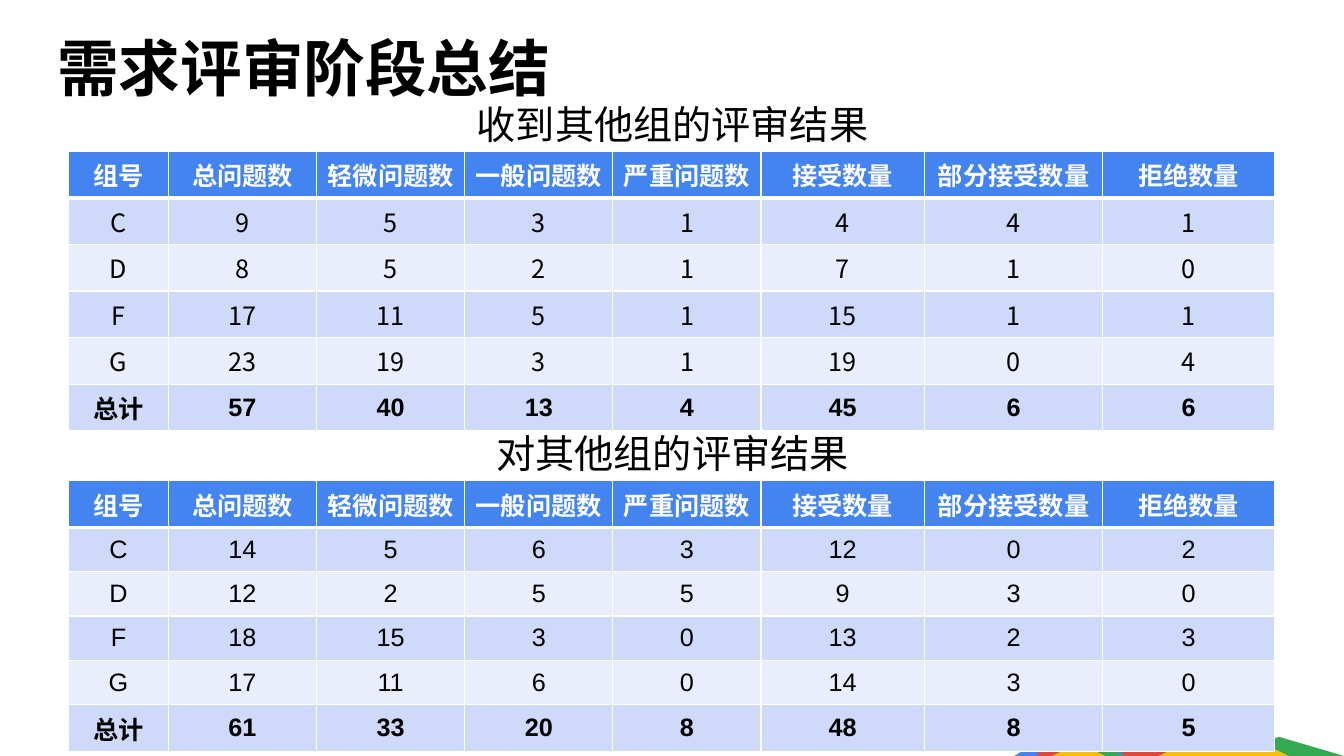
"""Build the review summary slide with two result tables."""
import dataclasses
import typing

import lxml.etree
import pptx
import pptx.dml.color
import pptx.enum.shapes
import pptx.enum.text
import pptx.oxml.ns
import pptx.util

ALIGN = pptx.enum.text.PP_ALIGN
ANCHOR = pptx.enum.text.MSO_ANCHOR
COLUMNS, ROWS = 1333, 750
UNIT = pptx.util.Inches(0.01)


@dataclasses.dataclass(frozen=True)
class Theme:
    font: str = "Arial"
    cjk_font: str = "Noto Sans CJK SC"
    title_size: int = 44
    caption_size: int = 28
    cell_size: int = 18
    black: str = "000000"
    white: str = "FFFFFF"
    blue: str = "4384F1"
    red: str = "E94236"
    green: str = "33A952"
    yellow: str = "FBBD06"
    dark_band: str = "CFD9FA"
    light_band: str = "E9EDFC"
    rule: int = 1
    header_rule: int = 3


THEME = Theme()


class Peak(typing.NamedTuple):
    left: int
    height: int
    color: str


class Range(typing.NamedTuple):
    left: int
    scale: float


class Label(typing.NamedTuple):
    text: str
    left: int
    top: int
    width: int
    height: int
    size: int
    title: bool = False


class Results(typing.NamedTuple):
    top: int
    body_font: str
    rows: tuple[str, ...]


PEAK_WIDTH = 129
PEAKS = (
    Peak(0, 39, THEME.blue),
    Peak(52, 66, THEME.red),
    Peak(146, 19, THEME.green),
    Peak(91, 32, THEME.yellow),
)
RANGES = (Range(1058, 1), Range(1006, 0.41))
LABELS = (
    Label("收到其他组的评审结果", 458, 100, 418, 58, THEME.caption_size),
    Label("对其他组的评审结果", 458, 426, 418, 58, THEME.caption_size),
    Label("需求评审阶段总结", 47, 24, 1108, 84, THEME.title_size, True),
)
TABLE_LEFT, ROW_HEIGHT = 68, 44
TABLE_COLUMNS = (99, 147, 147, 147, 147, 162, 177, 170)
HEADER = "组号 总问题数 轻微问题数 一般问题数 严重问题数 接受数量 部分接受数量 拒绝数量"
TABLES = (
    Results(150, THEME.cjk_font, (
        "C 9 5 3 1 4 4 1",
        "D 8 5 2 1 7 1 0",
        "F 17 11 5 1 15 1 1",
        "G 23 19 3 1 19 0 4",
        "总计 57 40 13 4 45 6 6",
    )),
    Results(477, THEME.font, (
        "C 14 5 6 3 12 0 2",
        "D 12 2 5 5 9 3 0",
        "F 18 15 3 0 13 2 3",
        "G 17 11 6 0 14 3 0",
        "总计 61 33 20 8 48 8 5",
    )),
)


def rgb(color: str) -> pptx.dml.color.RGBColor:
    """Turn a hex string into a colour."""
    return pptx.dml.color.RGBColor.from_string(color)


def grid(*cells: float) -> list[int]:
    """Turn grid columns or rows into lengths."""
    return [round(cell * UNIT) for cell in cells]


def style(p, font: str, size: int, color: str, bold: bool) -> None:
    """Set the font of a whole paragraph."""
    p.font.name = font
    p.font.size = pptx.util.Pt(size)
    p.font.color.rgb = rgb(color)
    p.font.bold = bold


def add_range(s, mountains: Range) -> None:
    """Draw a row of triangles standing on the slide's lower edge."""
    for peak in PEAKS:
        left = mountains.left + peak.left * mountains.scale
        height = peak.height * mountains.scale
        sp = s.shapes.add_shape(
            pptx.enum.shapes.MSO_SHAPE.ISOSCELES_TRIANGLE,
            *grid(left, ROWS - height, PEAK_WIDTH * mountains.scale, height))
        sp.shadow.inherit = False
        sp.fill.solid()
        sp.fill.fore_color.rgb = rgb(peak.color)
        sp.line.fill.background()


def add_label(s, label: Label) -> None:
    """Write the title or the caption of a table."""
    sp = s.shapes.add_textbox(
        *grid(label.left, label.top, label.width, label.height))
    tf = sp.text_frame
    tf.word_wrap = True
    p = tf.paragraphs[0]
    p.text = label.text
    style(p, THEME.font, label.size, THEME.black, label.title)
    if label.title:
        tf.vertical_anchor = ANCHOR.MIDDLE
    else:
        p.alignment = ALIGN.CENTER
        p.line_spacing = 0.9
        p.space_before = pptx.util.Pt(10)


def add_borders(cell, top: int, bottom: int) -> None:
    """Rule all four sides of a cell in white."""
    widths = {"L": THEME.rule, "R": THEME.rule, "T": top, "B": bottom}
    qn = pptx.oxml.ns.qn
    tcPr = cell._tc.get_or_add_tcPr()
    for i, (side, width) in enumerate(widths.items()):
        ln = lxml.etree.Element(qn(f"a:ln{side}"), w=str(pptx.util.Pt(width)))
        fill = lxml.etree.SubElement(ln, qn("a:solidFill"))
        lxml.etree.SubElement(fill, qn("a:srgbClr"), val=THEME.white)
        tcPr.insert(i, ln)


def add_results(s, results: Results) -> None:
    """Draw a table with a header, banded rows and a bold total."""
    rows = (HEADER, *results.rows)
    table = s.shapes.add_table(
        len(rows), len(TABLE_COLUMNS),
        *grid(TABLE_LEFT, results.top, sum(TABLE_COLUMNS), ROW_HEIGHT * len(rows))).table
    table.first_row = table.horz_banding = False
    for column, width in zip(table.columns, grid(*TABLE_COLUMNS)):
        column.width = width
    for i, row in enumerate(rows):
        header, total = i == 0, i == len(rows) - 1
        band = THEME.dark_band if i % 2 else THEME.light_band
        for j, text in enumerate(row.split()):
            cell = table.cell(i, j)
            cell.vertical_anchor = ANCHOR.MIDDLE
            cell.fill.solid()
            cell.fill.fore_color.rgb = rgb(THEME.blue if header else band)
            add_borders(cell, THEME.header_rule if i == 1 else THEME.rule,
                        THEME.header_rule if header else THEME.rule)
            p = cell.text_frame.paragraphs[0]
            p.text = text
            p.alignment = ALIGN.CENTER
            style(p, THEME.font if header or total else results.body_font,
                  THEME.cell_size, THEME.white if header else THEME.black,
                  header or total)


def main() -> None:
    """Build and save the slide."""
    prs = pptx.Presentation()
    prs.slide_width, prs.slide_height = grid(COLUMNS, ROWS)
    s = prs.slides.add_slide(prs.slide_layouts[6])
    for mountains in RANGES:
        add_range(s, mountains)
    for results in TABLES:
        add_results(s, results)
    for label in LABELS:
        add_label(s, label)
    prs.save("out.pptx")


if __name__ == "__main__":
    main()
